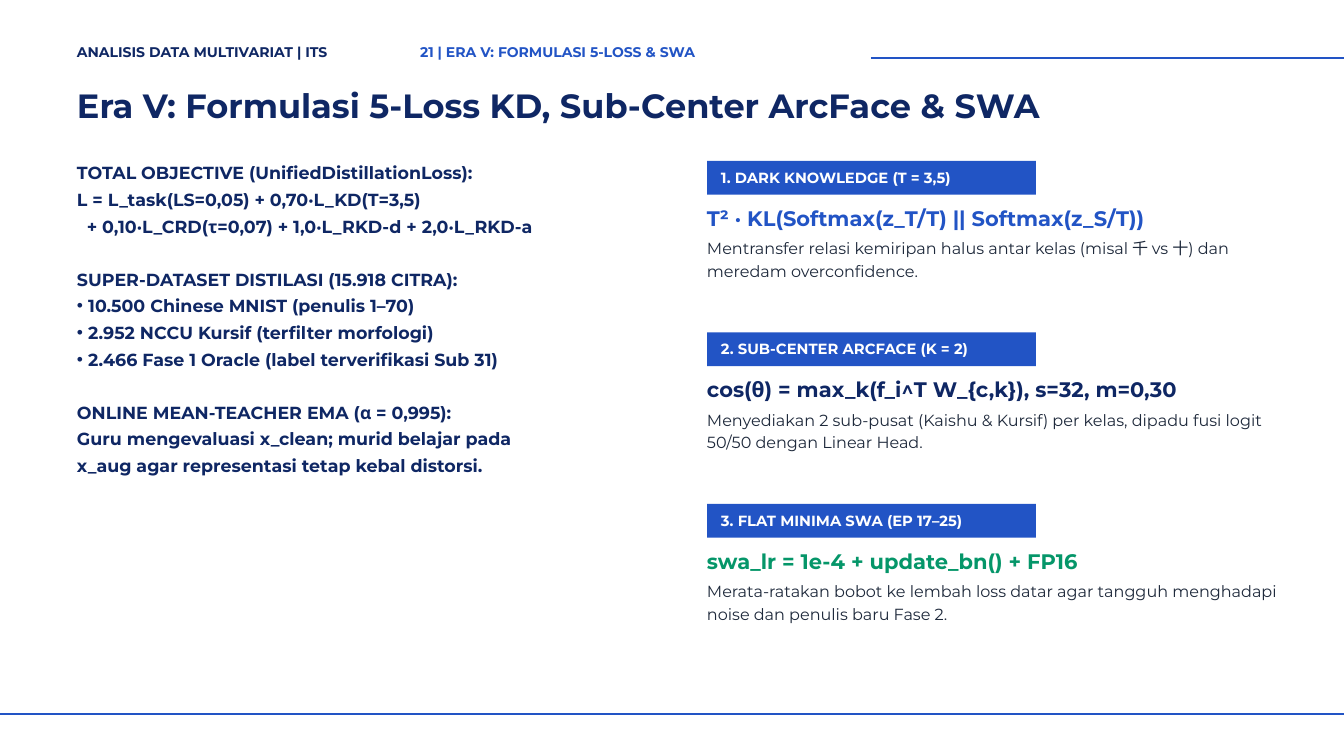
from lxml import etree
from pptx import Presentation
from pptx.dml.color import RGBColor
from pptx.enum.shapes import MSO_CONNECTOR, MSO_SHAPE
from pptx.enum.text import MSO_ANCHOR, MSO_AUTO_SIZE, PP_ALIGN
from pptx.oxml.ns import qn
from pptx.util import Emu, Pt

RECTANGLE = MSO_SHAPE.RECTANGLE
STRAIGHT = MSO_CONNECTOR.STRAIGHT
TOP = MSO_ANCHOR.TOP
NO_AUTOFIT = MSO_AUTO_SIZE.NONE
LEFT = PP_ALIGN.LEFT

FONT = "Montserrat"
NAVY = RGBColor(0x0F, 0x27, 0x64)
BLUE = RGBColor(0x22, 0x54, 0xC5)
GREEN = RGBColor(0x05, 0x96, 0x69)
SLATE = RGBColor(0x1E, 0x29, 0x3B)
WHITE = RGBColor(0xFF, 0xFF, 0xFF)

EMU_PER_PX = 9525
SLIDE_W, SLIDE_H = 1920, 1080
MARGIN = 110
CARD_LEFT, CARD_TOP, CARD_STEP = 1010, 230, 245
BULLET_INDENT, CONTINUATION_INDENT = 16, 14

# Each line is (text, indent, bullet).
OUTLINE = [
    [
        ("TOTAL OBJECTIVE (UnifiedDistillationLoss):", 0, None),
        ("L = L_task(LS=0,05) + 0,70·L_KD(T=3,5)", 0, None),
        ("+ 0,10·L_CRD(τ=0,07) + 1,0·L_RKD-d + 2,0·L_RKD-a", CONTINUATION_INDENT, None),
    ],
    [
        ("SUPER-DATASET DISTILASI (15.918 CITRA):", 0, None),
        ("10.500 Chinese MNIST (penulis 1–70)", BULLET_INDENT, "•"),
        ("2.952 NCCU Kursif (terfilter morfologi)", BULLET_INDENT, "•"),
        ("2.466 Fase 1 Oracle (label terverifikasi Sub 31)", BULLET_INDENT, "•"),
    ],
    [
        ("ONLINE MEAN-TEACHER EMA (α = 0,995):", 0, None),
        ("Guru mengevaluasi x_clean; murid belajar pada", 0, None),
        ("x_aug agar representasi tetap kebal distorsi.", 0, None),
    ],
]

CARDS = [
    ("1. DARK KNOWLEDGE (T = 3,5)",
     "T² · KL(Softmax(z_T/T) || Softmax(z_S/T))", BLUE,
     "Mentransfer relasi kemiripan halus antar kelas (misal 千 vs 十) dan meredam overconfidence."),
    ("2. SUB-CENTER ARCFACE (K = 2)",
     "cos(θ) = max_k(f_i^T W_{c,k}), s=32, m=0,30", NAVY,
     "Menyediakan 2 sub-pusat (Kaishu & Kursif) per kelas, dipadu fusi logit 50/50 dengan Linear Head."),
    ("3. FLAT MINIMA SWA (EP 17–25)",
     "swa_lr = 1e-4 + update_bn() + FP16", GREEN,
     "Merata-ratakan bobot ke lembah loss datar agar tangguh menghadapi noise dan penulis baru Fase 2."),
]


def px(length):
    return Emu(length * EMU_PER_PX)


def write_line(frame, text, *, size, leading, color=NAVY, bold=True,
               before=0, indent=0, bullet=None):
    """Add one paragraph, using the frame's empty first one if it is free."""
    paragraph = frame.add_paragraph() if frame.text else frame.paragraphs[0]
    properties = paragraph._p.get_or_add_pPr()
    properties.set("marL", str(px(indent)))
    properties.set("indent", str(px(-indent if bullet else 0)))
    if bullet:
        etree.SubElement(properties, qn("a:buChar")).set("char", bullet)
    else:
        etree.SubElement(properties, qn("a:buNone"))
    paragraph.alignment = LEFT
    paragraph.line_spacing = Pt(leading)
    paragraph.space_before = Pt(before)
    run = paragraph.add_run()
    run.text = text
    run.font.name = FONT
    run.font.size = Pt(size)
    run.font.bold = bold
    run.font.color.rgb = color


def prepare_frame(shape, inset_left=0, inset_top=0):
    frame = shape.text_frame
    frame.word_wrap = True
    frame.auto_size = NO_AUTOFIT
    frame.vertical_anchor = TOP
    frame.margin_left, frame.margin_top = px(inset_left), px(inset_top)
    frame.margin_right = frame.margin_bottom = 0
    return frame


def place(placeholder, left, top, width, height):
    placeholder.left, placeholder.top = px(left), px(top)
    placeholder.width, placeholder.height = px(width), px(height)
    return prepare_frame(placeholder)


def add_text(slide, text, left, top, width, height, **style):
    box = slide.shapes.add_textbox(px(left), px(top), px(width), px(height))
    write_line(prepare_frame(box), text, **style)


def add_rule(slide, left, right, y):
    rule = slide.shapes.add_connector(STRAIGHT, px(left), px(y), px(right), px(y))
    rule.line.color.rgb = BLUE
    rule.line.width = Pt(2.25)
    etree.SubElement(rule._element.spPr, qn("a:effectLst"))


def add_banner(slide, text, left, top):
    banner = slide.shapes.add_shape(RECTANGLE, px(left), px(top), px(470), px(48))
    banner.shadow.inherit = False
    banner.fill.solid()
    banner.fill.fore_color.rgb = BLUE
    banner.line.fill.background()
    write_line(prepare_frame(banner, inset_left=20, inset_top=7), text,
               size=15.8, leading=22, color=WHITE)


def add_card(slide, top, heading, formula, formula_color, explanation):
    add_banner(slide, heading, CARD_LEFT, top)
    add_text(slide, formula, CARD_LEFT, top + 57, 820, 41,
             size=22.5, leading=31.5, color=formula_color)
    add_text(slide, explanation, CARD_LEFT, top + 107, 820, 61,
             size=17.2, leading=23.8, color=SLATE, bold=False)


def fill_outline(frame):
    leading = 28.5
    for group_index, group in enumerate(OUTLINE):
        for line_index, (text, indent, bullet) in enumerate(group):
            starts_later_group = group_index > 0 and line_index == 0
            write_line(frame, text, size=18.7, leading=leading, indent=indent,
                       bullet=bullet, before=leading if starts_later_group else 0)


def main():
    presentation = Presentation()
    presentation.slide_width, presentation.slide_height = px(SLIDE_W), px(SLIDE_H)
    slide = presentation.slides.add_slide(presentation.slide_layouts[1])
    title, outline = slide.placeholders

    add_text(slide, "ANALISIS DATA MULTIVARIAT | ITS", MARGIN, 58, 480, 28,
             size=15, leading=21)
    add_text(slide, "21 | ERA V: FORMULASI 5-LOSS & SWA", 600, 58, 560, 28,
             size=15, leading=21, color=BLUE)
    add_rule(slide, 1244, SLIDE_W, 83)

    write_line(place(title, MARGIN, 111, 1700, 63),
               "Era V: Formulasi 5-Loss KD, Sub-Center ArcFace & SWA",
               size=36, leading=50.4)
    fill_outline(place(outline, MARGIN, 224, 840, 452))
    for index, card in enumerate(CARDS):
        add_card(slide, CARD_TOP + index * CARD_STEP, *card)

    add_rule(slide, 0, SLIDE_W, 1020)
    presentation.save("out.pptx")


if __name__ == "__main__":
    main()
